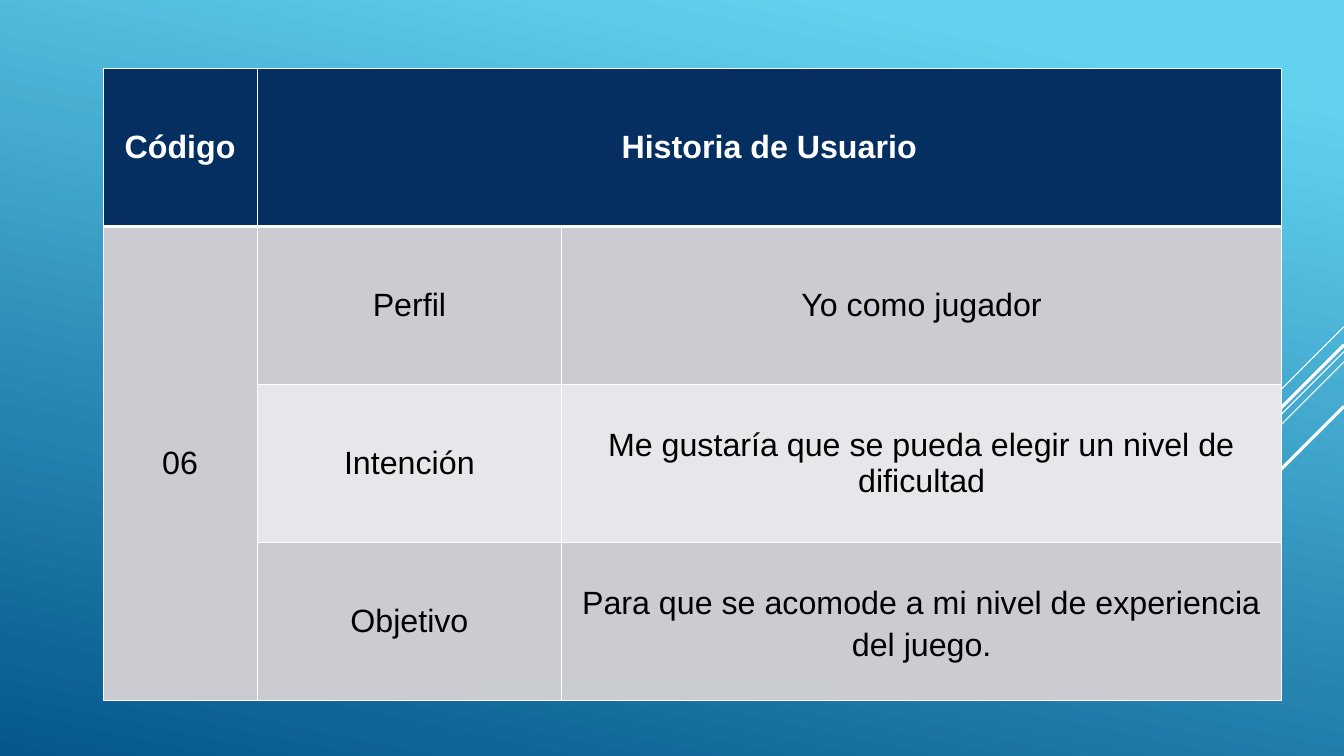
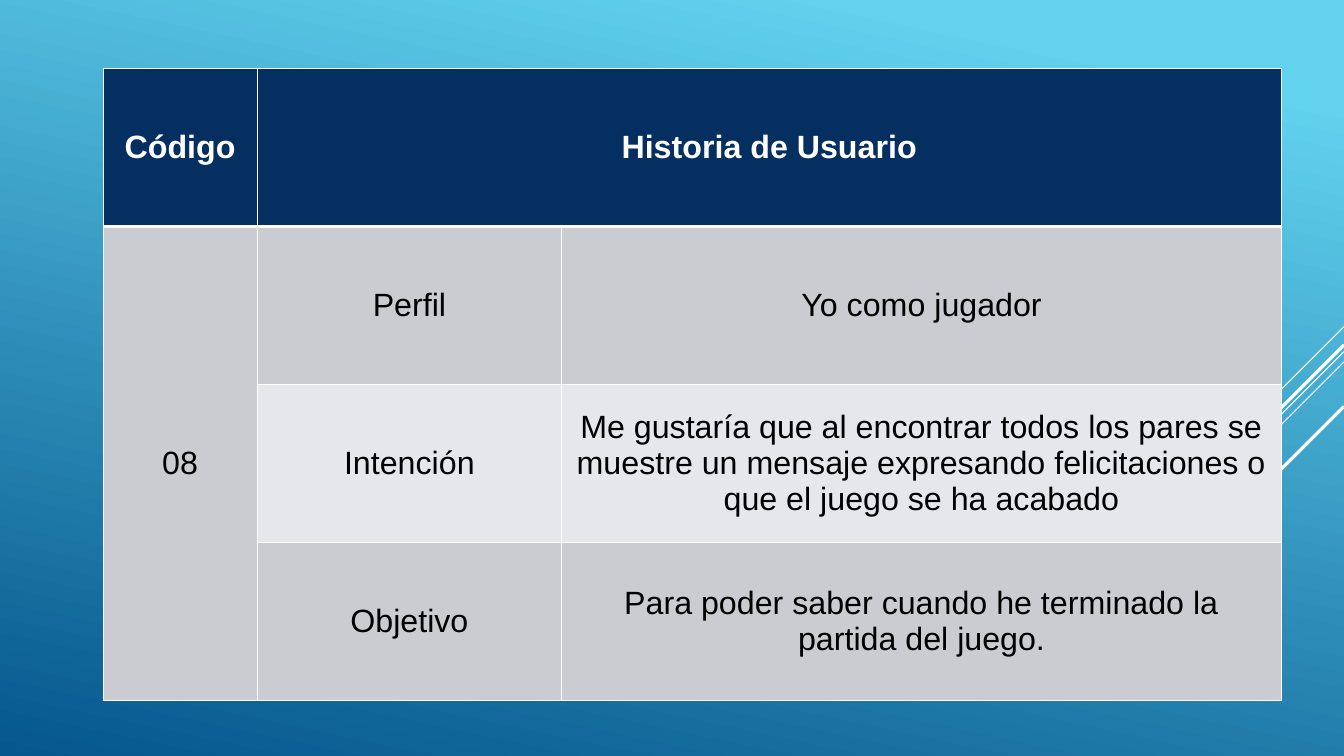
import pptx
import pptx.dml.color
import pptx.enum.shapes
import pptx.enum.text
import pptx.oxml
import pptx.oxml.ns
import pptx.util

Cm, Pt = pptx.util.Cm, pptx.util.Pt
RGBColor = pptx.dml.color.RGBColor

# Shared look
FONT = "Arial"
SKY = RGBColor(0x62, 0xD2, 0xEF)
DEEP_BLUE = RGBColor(0x05, 0x57, 0x8D)
NAVY = RGBColor(0x05, 0x2F, 0x61)
BAND_DARK = RGBColor(0xCA, 0xCC, 0xD1)
BAND_LIGHT = RGBColor(0xE6, 0xE7, 0xEA)
WHITE = RGBColor(0xFF, 0xFF, 0xFF)
BLACK = RGBColor(0x00, 0x00, 0x00)

SLIDE_W, SLIDE_H = 33.87, 19.05
TABLE_LEFT, TABLE_TOP = 2.6, 1.73
COL_WIDTHS = (3.88, 7.68, 18.14)
ROW_HEIGHT = 3.98

# Diagonals from the right edge: start height, horizontal run, width in points
DIAGONALS = (
    (8.23, 2.54, 0.75),
    (8.86, 8.28, 0.75),
    (9.12, 5.26, 0.75),
    (8.69, 4.85, 2.25),
    (10.24, 3.53, 2.25),
)

# Code, intention, goal, line spacing of the goal
STORIES = (
    ("06", "Me gustaría que se pueda elegir un nivel de dificultad",
     "Para que se acomode a mi nivel de experiencia del juego.", 1.15),
    ("08", "Me gustaría que al encontrar todos los pares se muestre un mensaje "
     "expresando felicitaciones o que el juego se ha acabado",
     "Para poder saber cuando he terminado la partida del juego.", None),
)


def set_background(master):
    fill = master.background.fill
    fill.gradient()
    fill.gradient_angle = 258
    for stop, color, position in zip(fill.gradient_stops, (SKY, DEEP_BLUE), (0.1, 1)):
        stop.color.rgb = color
        stop.position = position


def add_diagonal(s, top, run, width):
    line = s.shapes.add_connector(
        pptx.enum.shapes.MSO_CONNECTOR.STRAIGHT,
        Cm(SLIDE_W), Cm(top), Cm(SLIDE_W - run), Cm(top + run))
    line.line.color.rgb = WHITE
    line.line.width = Pt(width)
    line.element.spPr.append(pptx.oxml.parse_xml(
        f'<a:effectLst {pptx.oxml.ns.nsdecls("a")}/>'))
    return line


def decorate_master(master, s):
    """Draw the diagonals on a slide and move them to the master."""
    for number, diagonal in enumerate(DIAGONALS, start=20):
        line = add_diagonal(s, *diagonal)
        line.element.nvCxnSpPr.cNvPr.set("id", str(number))
        master.shapes.element.append(line.element)


def set_borders(cell, top=1, bottom=1):
    tcPr = cell._tc.get_or_add_tcPr()
    widths = {"lnL": 1, "lnR": 1, "lnT": top, "lnB": bottom}
    for i, (side, width) in enumerate(widths.items()):
        tcPr.insert(i, pptx.oxml.parse_xml(
            f'<a:{side} {pptx.oxml.ns.nsdecls("a")} w="{Pt(width)}">'
            f'<a:solidFill><a:srgbClr val="{WHITE}"/></a:solidFill></a:{side}>'))


def write_cell(cell, text, *, color=BLACK, bold=False, spacing=None):
    cell.vertical_anchor = pptx.enum.text.MSO_ANCHOR.MIDDLE
    p = cell.text_frame.paragraphs[0]
    p.alignment = pptx.enum.text.PP_ALIGN.CENTER
    p.line_spacing = spacing
    r = p.add_run()
    r.text = text
    r.font.name = FONT
    r.font.size = Pt(23)
    r.font.bold = bold
    r.font.color.rgb = color


def add_story_table(s, code, intention, goal, goal_spacing):
    rows = (
        ("Código", "Historia de Usuario", None),
        (code, "Perfil", "Yo como jugador"),
        (None, "Intención", intention),
        (None, "Objetivo", goal),
    )
    table = s.shapes.add_table(
        len(rows), len(COL_WIDTHS), Cm(TABLE_LEFT), Cm(TABLE_TOP),
        Cm(sum(COL_WIDTHS)), Cm(ROW_HEIGHT * len(rows))).table
    table.horz_banding = False
    for column, width in zip(table.columns, COL_WIDTHS):
        column.width = Cm(width)
    for row in table.rows:
        row.height = Cm(ROW_HEIGHT)
    table.cell(0, 1).merge(table.cell(0, 2))
    table.cell(1, 0).merge(table.cell(3, 0))

    fills = (NAVY, BAND_DARK, BAND_LIGHT, BAND_DARK)
    for i, texts in enumerate(rows):
        header = i == 0
        for j, text in enumerate(texts):
            cell = table.cell(i, j)
            cell.fill.solid()
            cell.fill.fore_color.rgb = BAND_DARK if j == 0 and i else fills[i]
            set_borders(cell, top=3 if i == 1 else 1, bottom=3 if header else 1)
            if text:
                write_cell(cell, text, color=WHITE if header else BLACK, bold=header,
                           spacing=goal_spacing if text == goal else None)


def main():
    prs = pptx.Presentation()
    prs.slide_width, prs.slide_height = Cm(SLIDE_W), Cm(SLIDE_H)
    blank = prs.slide_layouts[6]
    slides = [prs.slides.add_slide(blank) for _ in STORIES]

    # Shared background and diagonals
    set_background(prs.slide_master)
    decorate_master(prs.slide_master, slides[0])

    # One user story per slide
    for s, story in zip(slides, STORIES):
        add_story_table(s, *story)
    prs.save("out.pptx")


if __name__ == "__main__":
    main()
